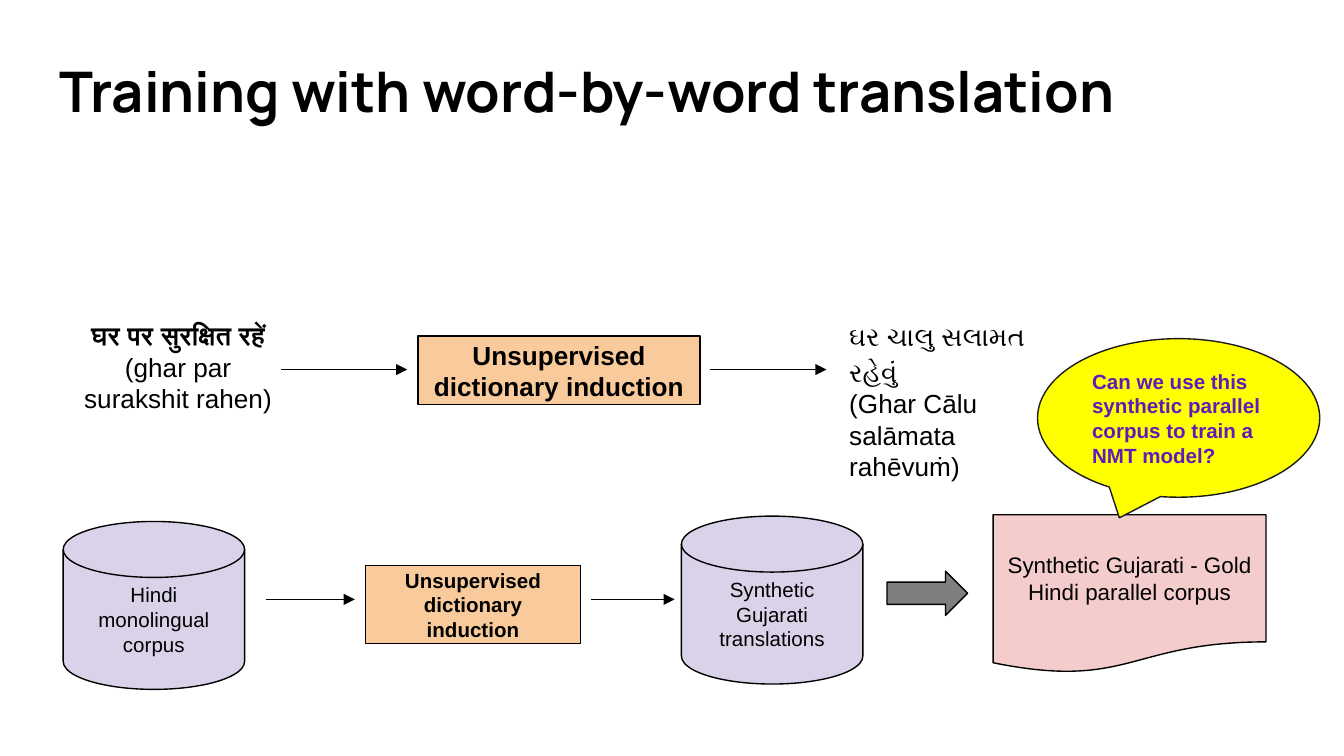
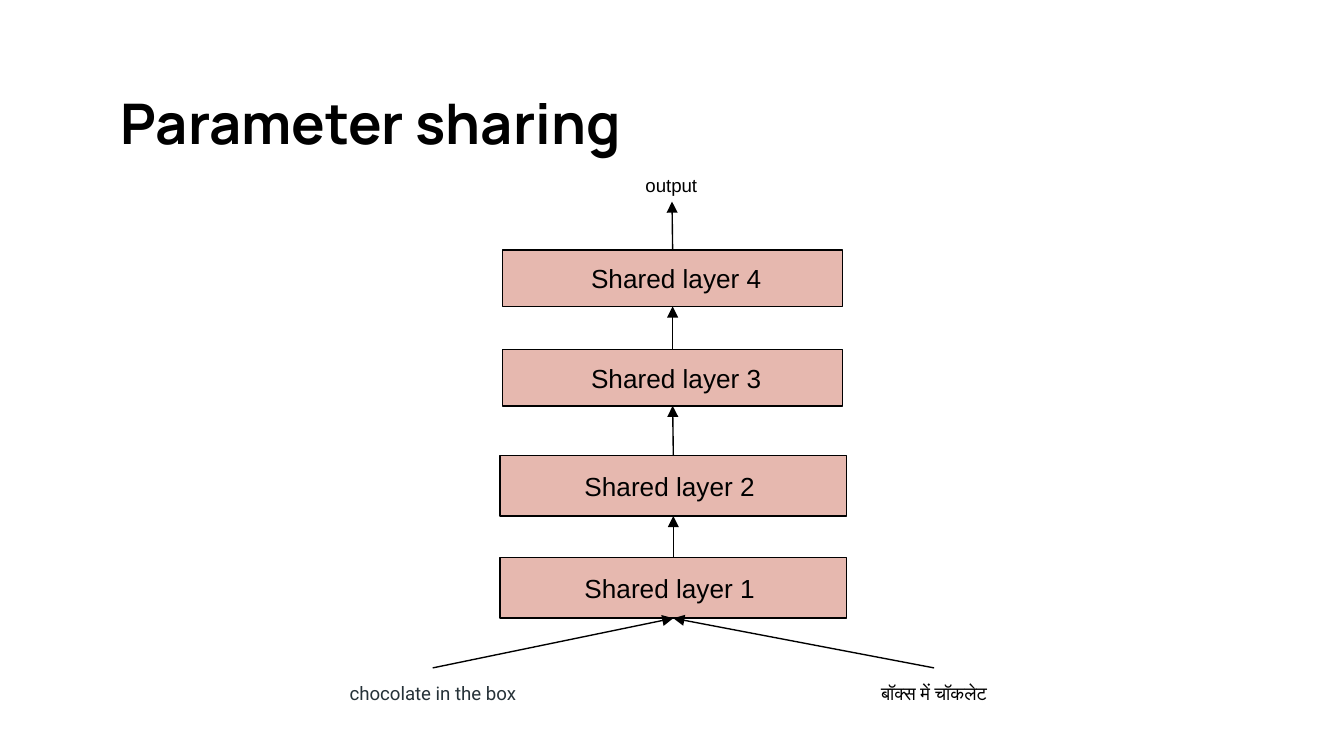
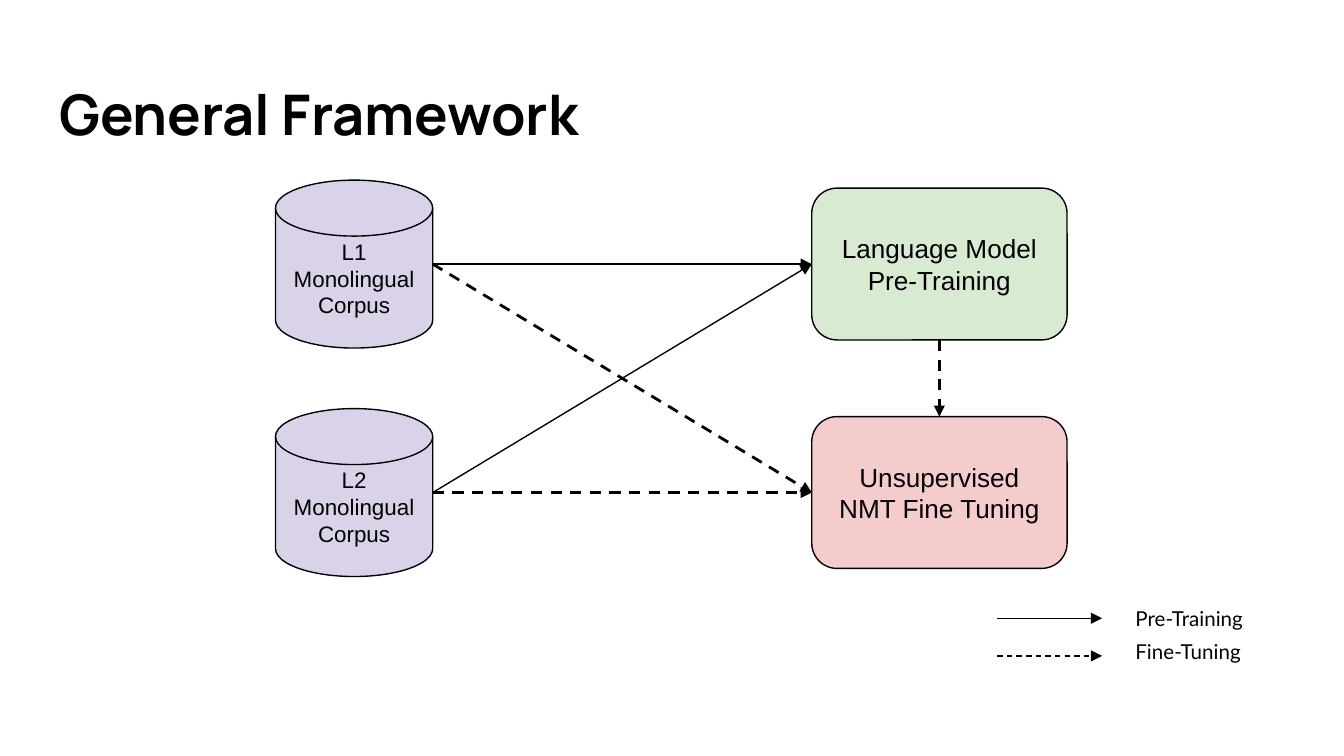
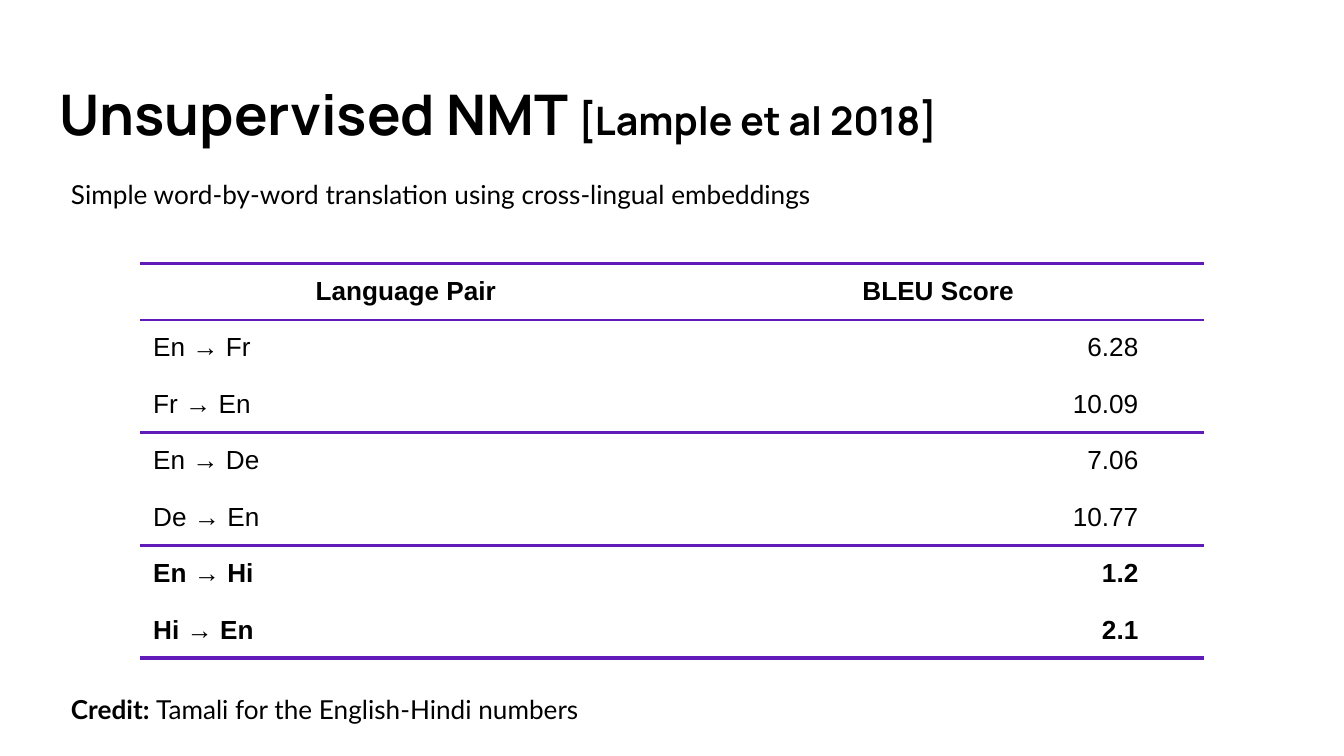
from lxml.etree import SubElement
from pptx import Presentation
from pptx.dml.color import RGBColor as Rgb
from pptx.enum.dml import MSO_LINE as Dash
from pptx.enum.shapes import MSO_CONNECTOR as Link, MSO_SHAPE as Shape
from pptx.enum.text import MSO_ANCHOR as Anchor, MSO_AUTO_SIZE as Fit, PP_ALIGN as Align
from pptx.oxml import parse_xml
from pptx.oxml.ns import nsdecls, qn
from pptx.util import Pt

PX = 9144
WIDE = 1000
HIGH = WIDE * 9 / 16
INSET = 10
HUES = {
    "ink": "000000", "edge": "1A1A1A", "slate": "263238", "violet": "611BB8",
    "orange": "F9CB9C", "lilac": "D9D2E9", "gray": "7F7F7F", "pink": "F4CCCC",
    "yellow": "FFFF00", "clay": "E6B8AF", "green": "D9EAD3",
}
LEFT, MID, RIGHT = Align.LEFT, Align.CENTER, Align.RIGHT
DISK, ROUND = Shape.FLOWCHART_MAGNETIC_DISK, Shape.ROUNDED_RECTANGLE
PLAIN = "{2D5ABB26-0587-4C30-8999-92F81FD0307C}"

INDUCE = "Unsupervised dictionary induction"
TRAIN = {
    "title": ("Training with word-by-word translation", (34, 32, 932, 63)),
    "shapes": [
        (Shape.RECTANGLE, (311, 250, 210, 51), "orange", INDUCE, {"size": 14, "bold": True}),
        (DISK, (47, 388, 135, 125), "lilac", "Hindi monolingual corpus", {"size": 11}),
        (Shape.RECTANGLE, (272, 421, 160, 58), "orange", INDUCE, {"size": 11, "bold": True}),
        (DISK, (507, 384, 135, 125), "lilac", "Synthetic Gujarati translations", {"size": 11}),
        (Shape.RIGHT_ARROW, (660, 425, 60, 33), "gray", "", {}),
        (Shape.FLOWCHART_DOCUMENT, (739, 383, 203, 118), "pink",
         "Synthetic Gujarati - Gold Hindi parallel corpus", {"size": 12}),
    ],
    "ask": ((772, 252, 210, 118), "Can we use this synthetic parallel corpus to train a NMT model?"),
    "hindi": ((43, 228, 179, 63), [("घर पर सुरक्षित रहें", {"bold": True}),
                                   ("(ghar par surakshit rahen)", {})]),
    "gujarati": ((622, 225, 179, 63), [("ઘર ચાલુ સલામત રહેવું", {"bold": True}),
                                       ("(Ghar Cālu salāmata rahēvuṁ)", {})]),
    "arrows": [(209, 303, 275), (528, 615, 275), (198, 264, 446), (440, 502, 446)],
}
SHARE = {
    "title": ("Parameter sharing", (80, 56, 841, 59)),
    "layers": [
        ((372, 415, 258, 45), "Shared layer 1 "),
        ((372, 339, 258, 45), "Shared layer 2 "),
        ((374, 260, 253, 42), " Shared layer 3"),
        ((374, 186, 253, 42), " Shared layer 4"),
    ],
    "labels": [
        ((193, 497, 258, 26), "chocolate in the box", {"name": "Roboto", "hue": "slate"}),
        ((566, 497, 258, 26), "बॉक्स में चॉकलेट", {}),
        ((466, 119, 67, 26), "output", {}),
    ],
    "feeds": [(322, 497), (695, 497)],
    "goal": (500, 150),
}
FRAME = {
    "title": ("General Framework", (34, 49, 932, 68)),
    "nodes": {
        "L1": (DISK, (205, 134, 117, 125), "lilac", "L1 Monolingual Corpus", {"size": 12}),
        "L2": (DISK, (205, 304, 117, 125), "lilac", "L2 Monolingual Corpus", {"size": 12}),
        "pre": (ROUND, (604, 140, 190, 113), "green", "Language Model Pre-Training", {"size": 14}),
        "fine": (ROUND, (604, 310, 190, 113), "pink", "Unsupervised NMT Fine Tuning", {"size": 14}),
    },
    "links": [("L1", "pre", False), ("L2", "pre", False), ("L1", "fine", True), ("L2", "fine", True)],
    "keys": [("Pre-Training", 460, 445, False), ("Fine-Tuning", 488, 470, True)],
}
SCORE = {
    "title": ([("Unsupervised NMT ", {}), ("[Lample et al 2018]", {"size": 21})], (34, 49, 932, 68)),
    "notes": [
        (123, "Simple word-by-word translation using cross-lingual embeddings"),
        (506, [("Credit: ", {"bold": True}), ("Tamali for the English-Hindi numbers", {})]),
    ],
    "rows": [
        ("Language Pair", "BLEU Score"),
        ("En → Fr", "6.28"), ("Fr → En", "10.09"),
        ("En → De", "7.06"), ("De → En", "10.77"),
        ("En → Hi", "1.2"), ("Hi → En", "2.1"),
    ],
    "bold": (0, 5, 6),
    "rules": {0: 1.5, 2: 1.5, 4: 1.5, 6: 2.25},
}


def emu(vals):
    return [round(v * PX) for v in vals]


def color(hue):
    return Rgb.from_string(HUES[hue])


def dress(font, size=14, name="Arial", bold=False, hue="ink"):
    font.size, font.name, font.bold = Pt(size), name, bold
    font.color.rgb = color(hue)


def write(frame, paras, align=LEFT, **look):
    """Fill a text frame with paragraphs of text or of styled runs."""
    for n, (text, own) in enumerate(paras):
        para = frame.paragraphs[0] if n == 0 else frame.add_paragraph()
        para.alignment = align
        dress(para.font, **{**look, **own})
        if isinstance(text, str):
            para.add_run().text = text
            continue
        for part, extra in text:
            run = para.add_run()
            run.text = part
            dress(run.font, **{**look, **own, **extra})


def setup(frame, anchor):
    frame.word_wrap, frame.auto_size = True, Fit.NONE
    frame.vertical_anchor = anchor
    frame.margin_left = frame.margin_right = frame.margin_top = frame.margin_bottom = INSET * PX


def label(slide, box, paras, anchor=Anchor.TOP, **look):
    frame = slide.shapes.add_textbox(*emu(box)).text_frame
    setup(frame, anchor)
    write(frame, paras, **look)
    return frame


def block(slide, kind, box, fill, text, look, align=MID, edge="ink"):
    shape = slide.shapes.add_shape(kind, *emu(box))
    shape.shadow.inherit = False
    shape.fill.solid()
    shape.fill.fore_color.rgb = color(fill)
    shape.line.color.rgb = color(edge)
    shape.line.width = Pt(0.75)
    setup(shape.text_frame, Anchor.MIDDLE)
    if text:
        write(shape.text_frame, [(text, {})], align, **look)
    return shape


def arrow(slide, start, end, width=0.75, dash=False):
    link = slide.shapes.add_connector(Link.STRAIGHT, *emu(start + end))
    link.line.color.rgb = color("ink")
    link.line.width = Pt(width)
    if dash:
        link.line.dash_style = Dash.DASH
    SubElement(link.line._get_or_add_ln(), qn("a:tailEnd"), type="triangle")
    SubElement(link._element.spPr, qn("a:effectLst"))


def side(box, which):
    left, top, wide, high = box
    x, y = {"left": (0, 0.5), "right": (1, 0.5), "top": (0.5, 0), "foot": (0.5, 1)}[which]
    return left + x * wide, top + y * high


def start(deck, title):
    """Add a slide with its formatted title."""
    text, box = title
    slide = deck.slides.add_slide(deck.slide_layouts[5])
    head = slide.shapes.title
    head.left, head.top, head.width, head.height = emu(box)
    setup(head.text_frame, Anchor.TOP)
    write(head.text_frame, [(text, {})], size=30, name="Manrope", bold=True)
    return slide


def train(deck):
    slide = start(deck, TRAIN["title"])
    for item in TRAIN["shapes"]:
        block(slide, *item)
    box, text = TRAIN["ask"]
    look = {"size": 11, "bold": True, "hue": "violet"}
    ask = block(slide, Shape.OVAL_CALLOUT, box, "yellow", text, look, LEFT, "edge")
    ask.adjustments[0], ask.adjustments[1] = -0.21, 0.63
    label(slide, *TRAIN["hindi"], align=MID)
    label(slide, *TRAIN["gujarati"]).paragraphs[0].line_spacing = 1.15
    for x, end, y in TRAIN["arrows"]:
        arrow(slide, (x, y), (end, y))


def share(deck):
    slide = start(deck, SHARE["title"])
    layers = [box for box, _ in SHARE["layers"]]
    for box, text in SHARE["layers"]:
        block(slide, Shape.RECTANGLE, box, "clay", text, {"size": 14})
    for box, text, own in SHARE["labels"]:
        label(slide, box, [(text, own)], align=MID, size=10)
    for point in SHARE["feeds"]:
        arrow(slide, point, side(layers[0], "foot"))
    goals = [side(box, "foot") for box in layers[1:]] + [SHARE["goal"]]
    for box, goal in zip(layers, goals):
        arrow(slide, side(box, "top"), goal)


def frame(deck):
    slide = start(deck, FRAME["title"])
    nodes = FRAME["nodes"]
    for item in nodes.values():
        block(slide, *item)
    spots = {key: item[1] for key, item in nodes.items()}
    for one, two, dash in FRAME["links"]:
        arrow(slide, side(spots[one], "right"), side(spots[two], "left"), 1.5 if dash else 0.75, dash)
    arrow(slide, side(spots["pre"], "foot"), side(spots["fine"], "top"), 1.5, True)
    for text, y, top, dash in FRAME["keys"]:
        arrow(slide, (742, y), (820, y), dash=dash)
        label(slide, (835, top, 117, 30), [(text, {})], Anchor.MIDDLE, size=11, name="Lato")


def rule(cell, tag, width):
    cell._tc.get_or_add_tcPr().insert(0, parse_xml(
        f'<a:{tag} {nsdecls("a")} w="{Pt(width)}"><a:solidFill>'
        f'<a:srgbClr val="{HUES["violet"]}"/></a:solidFill></a:{tag}>'))


def score(deck):
    slide = start(deck, SCORE["title"])
    for top, text in SCORE["notes"]:
        label(slide, (43, top, 804, 59), [(text, {})], name="Lato")
    rows = SCORE["rows"]
    grid = slide.shapes.add_table(len(rows), 2, *emu((104, 196, 792, 42 * len(rows)))).table
    grid.first_row = grid.horz_banding = False
    grid._tbl.tblPr.find(qn("a:tableStyleId")).text = PLAIN
    for r, row in enumerate(rows):
        for c, text in enumerate(row):
            cell = grid.cell(r, c)
            cell.fill.background()
            cell.margin_left = cell.margin_right = cell.margin_top = cell.margin_bottom = INSET * PX
            if r and c:
                cell.margin_right = 49 * PX
            align = MID if r == 0 else (LEFT, RIGHT)[c]
            write(cell.text_frame, [(text, {})], align, bold=r in SCORE["bold"])
            if r in SCORE["rules"]:
                rule(cell, "lnB", SCORE["rules"][r])
            if r == 0:
                rule(cell, "lnT", 1.5)


def main():
    deck = Presentation()
    deck.slide_width, deck.slide_height = emu((WIDE, HIGH))
    for build in (train, share, frame, score):
        build(deck)
    deck.save("out.pptx")


if __name__ == "__main__":
    main()
